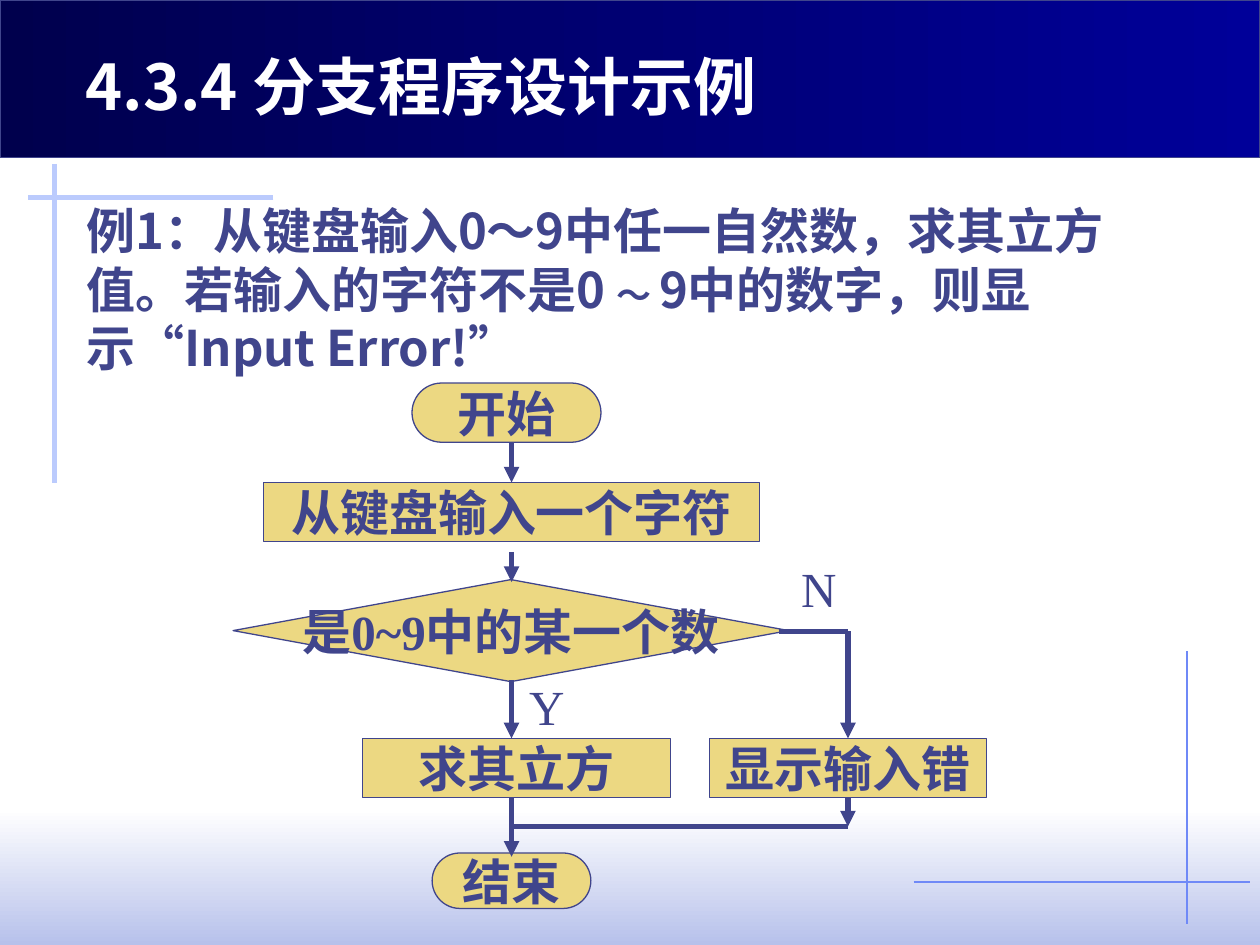
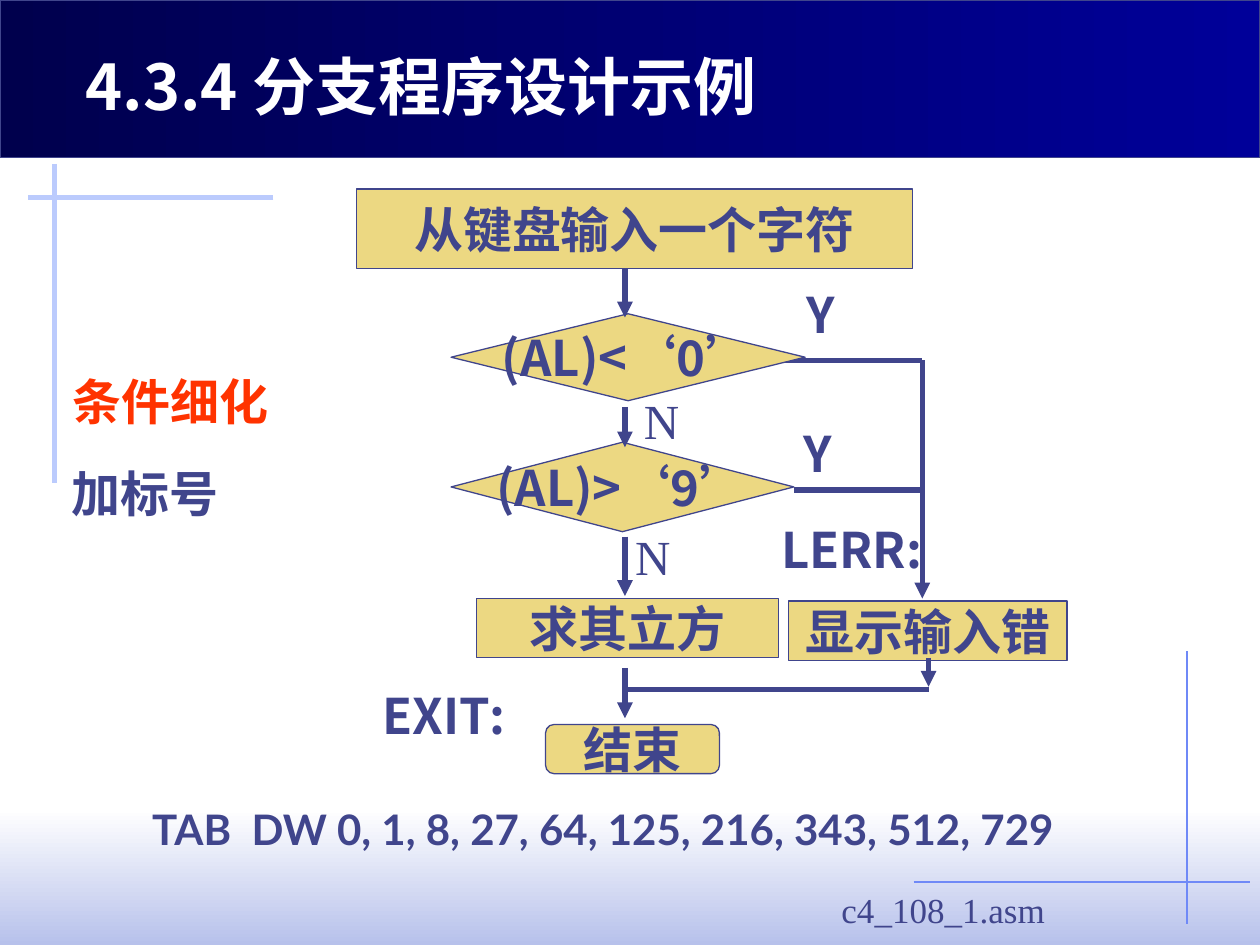
from dataclasses import dataclass

from lxml import etree
from pptx import Presentation
from pptx.dml.color import RGBColor
from pptx.enum.shapes import MSO_CONNECTOR, MSO_SHAPE
from pptx.enum.text import MSO_ANCHOR, MSO_AUTO_SIZE, PP_ALIGN
from pptx.oxml.ns import qn
from pptx.util import Inches, Pt

RECTANGLE = MSO_SHAPE.RECTANGLE
ROUNDED = MSO_SHAPE.ROUNDED_RECTANGLE
DIAMOND = MSO_SHAPE.DIAMOND
STRAIGHT = MSO_CONNECTOR.STRAIGHT
MIDDLE = MSO_ANCHOR.MIDDLE
GROW = MSO_AUTO_SIZE.SHAPE_TO_FIT_TEXT
CENTER = PP_ALIGN.CENTER
BLANK_LAYOUT = 6


@dataclass(frozen=True)
class Theme:
    ink: str = "40458C"
    white: str = "FFFFFF"
    alert: str = "FF3300"
    node: str = "ECD882"
    band_dark: str = "00004D"
    band_light: str = "000099"
    footer: str = "B7C1EB"
    pale_rule: str = "BBCBFD"
    bright_rule: str = "6F89F7"
    thin: float = 0.75
    thick: float = 3
    title_size: int = 36
    body_size: int = 28
    code_size: int = 24
    small_size: int = 20
    sans: str = "Noto Sans CJK SC"
    title_font: str = "Noto Sans CJK JP"
    serif: str = "Times New Roman"
    code_font: str = "Lato"


THEME = Theme()
TITLE = "4.3.4 分支程序设计示例"


def color(code):
    return RGBColor.from_string(code)


def add_span(para, text, font=THEME.sans, size=THEME.body_size, ink=THEME.ink, bold=True):
    span = para.add_run()
    span.text = text
    span.font.name = font
    span.font.size = Pt(size)
    span.font.bold = bold
    span.font.color.rgb = color(ink)
    east_asian = font if font == THEME.title_font else THEME.sans
    etree.SubElement(span.font._element, qn("a:ea")).set("typeface", east_asian)


def add_text(page, place, spans, wrap=False, insets=(0.1, 0.05)):
    """Add a text box; each span is a text with its font options."""
    box = page.shapes.add_textbox(*map(Inches, place))
    frame = box.text_frame
    frame.word_wrap = wrap
    frame.auto_size = GROW
    frame.margin_left = frame.margin_right = Inches(insets[0])
    frame.margin_top = frame.margin_bottom = Inches(insets[1])
    for text, options in spans:
        add_span(frame.paragraphs[0], text, **options)


def add_branch_label(page, place, text, insets=(0, 0)):
    add_text(page, place, [(text, {"font": THEME.serif, "bold": False})], True, insets)


def add_node(page, kind, place, text, font=THEME.sans, rounding=None):
    """Add one flowchart step with its centred text."""
    node = page.shapes.add_shape(kind, *map(Inches, place))
    node.shadow.inherit = False
    node.fill.solid()
    node.fill.fore_color.rgb = color(THEME.node)
    node.line.color.rgb = color(THEME.ink)
    node.line.width = Pt(THEME.thin)
    if rounding is not None:
        node.adjustments[0] = rounding
    frame = node.text_frame
    frame.word_wrap = False
    frame.vertical_anchor = MIDDLE
    frame.paragraphs[0].alignment = CENTER
    add_span(frame.paragraphs[0], text, font)


def add_line(page, start, end, ink=THEME.ink, width=THEME.thick, arrow=False):
    line = page.shapes.add_connector(STRAIGHT, *map(Inches, (*start, *end)))
    line.line.color.rgb = color(ink)
    line.line.width = Pt(width)
    if arrow:
        outline = line.line._get_or_add_ln()
        etree.SubElement(outline, qn("a:tailEnd")).set("type", "triangle")
    etree.SubElement(line._element.spPr, qn("a:effectLst"))


def add_down_arrows(page, x, spans):
    for top, bottom in spans:
        add_line(page, (x, top), (x, bottom), arrow=True)


def add_band(page, place, first, last, angle, outline=None):
    band = page.shapes.add_shape(RECTANGLE, *map(Inches, place))
    band.shadow.inherit = False
    band.fill.gradient()
    band.fill.gradient_angle = angle
    for stop, code in zip(band.fill.gradient_stops, (first, last)):
        stop.color.rgb = color(code)
    if outline:
        band.line.color.rgb = color(outline)
        band.line.width = Pt(THEME.thin)
    else:
        band.line.fill.background()


def add_page(deck):
    """Add a page with the shared bands, corner rules and title."""
    page = deck.slides.add_slide(deck.slide_layouts[BLANK_LAYOUT])
    add_band(page, (0, 6.42, 10, 1.08), THEME.white, THEME.footer, 270)
    add_line(page, (2.17, 1.57), (0.22, 1.57), THEME.pale_rule)
    add_line(page, (0.43, 1.3), (0.43, 3.83), THEME.pale_rule)
    add_band(page, (0, 0, 10, 1.25), THEME.band_dark, THEME.band_light, 0, THEME.ink)
    add_line(page, (9.42, 5.17), (9.42, 7.33), THEME.bright_rule, THEME.thin)
    add_line(page, (7.25, 7), (9.92, 7), THEME.bright_rule, THEME.thin)
    title_style = {"font": THEME.title_font, "size": THEME.title_size, "ink": THEME.white}
    add_text(page, (0.58, 0.33, 5.65, 0.7), [(TITLE, title_style)])
    return page


def build_overview(deck):
    page = add_page(deck)
    add_text(page, (0.59, 1.54, 8.58, 1.5), [
        ("例1：从键盘输入0～9中任一自然数，求其立方值。若输入的字符不是0 ", {}),
        ("～ ", {"font": THEME.code_font, "size": THEME.small_size}),
        ("9中的数字，则显示“Input Error!”", {}),
    ], wrap=True)

    for kind, place, text, rounding in (
        (ROUNDED, (3.27, 3.04, 1.5, 0.47), "开始", 0.5),
        (RECTANGLE, (2.09, 3.83, 3.94, 0.47), "从键盘输入一个字符", None),
        (DIAMOND, (1.85, 4.6, 4.41, 0.81), "是0~9中的某一个数", None),
        (RECTANGLE, (2.88, 5.86, 2.44, 0.47), "求其立方", None),
        (RECTANGLE, (5.63, 5.86, 2.2, 0.47), "显示输入错", None),
        (ROUNDED, (3.43, 6.77, 1.26, 0.44), "结束", 0.5),
    ):
        add_node(page, kind, place, text, THEME.serif, rounding)

    main_x, error_x, join_y = 4.06, 6.73, 6.56
    add_down_arrows(page, main_x, [(3.51, 3.83), (4.38, 4.62), (5.4, 5.86), (6.33, 6.8)])
    add_down_arrows(page, error_x, [(5.01, 5.86), (6.33, join_y)])
    add_line(page, (6.18, 5.01), (error_x, 5.01))
    add_line(page, (error_x, join_y), (main_x, join_y))
    add_branch_label(page, (4.2, 5.32, 0.48, 0.57), "Y", (0, 0.05))
    add_branch_label(page, (6.26, 4.38, 0.48, 0.57), "N", (0.1, 0.05))


def build_refinement(deck):
    page = add_page(deck)
    main_x, error_x, exit_x, join_y = 4.96, 7.32, 7.37, 5.47
    add_line(page, (6.22, 2.86), (error_x, 2.86))
    add_line(page, (6.3, 3.89), (error_x, 3.89))

    for kind, place, text, rounding in (
        (RECTANGLE, (2.83, 1.5, 4.41, 0.63), "从键盘输入一个字符", None),
        (DIAMOND, (3.58, 2.49, 2.81, 0.69), "(AL)<‘0’", None),
        (DIAMOND, (3.58, 3.51, 2.72, 0.71), "(AL)>‘9’", None),
        (RECTANGLE, (3.78, 4.75, 2.4, 0.47), "求其立方", None),
        (RECTANGLE, (6.26, 4.77, 2.21, 0.47), "显示输入错", None),
        (ROUNDED, (4.33, 5.75, 1.38, 0.39), "结束", 0.17),
    ):
        add_node(page, kind, place, text, rounding=rounding)

    add_down_arrows(page, main_x, [(2.13, 2.52), (3.23, 3.55), (4.26, 4.73), (5.3, 5.7)])
    add_down_arrows(page, error_x, [(2.86, 4.75)])
    add_down_arrows(page, exit_x, [(5.22, 5.45)])
    add_line(page, (exit_x, join_y), (main_x, join_y))

    add_branch_label(page, (5.11, 3.1, 0.39, 0.47), "N")
    add_branch_label(page, (5.04, 4.18, 0.39, 0.47), "N")
    add_text(page, (6.3, 2.21, 0.39, 0.57), [("Y", {})], wrap=True)
    add_text(page, (6.28, 3.31, 0.43, 0.57), [("Y", {})])
    add_text(page, (6.2, 4.12, 1.17, 0.47), [("LERR:", {})], insets=(0, 0))
    add_text(page, (2.94, 5.39, 1.37, 0.57), [("EXIT:", {})])

    add_text(page, (0.48, 2.9, 1.8, 0.57),
             [("条件细化", {"font": THEME.serif, "ink": THEME.alert})])
    add_text(page, (0.47, 3.63, 1.42, 0.57), [("加标号", {"font": THEME.serif})])
    add_text(page, (1.11, 6.33, 7.5, 0.5),
             [("TAB  DW 0, 1, 8, 27, 64, 125, 216, 343, 512, 729",
               {"font": THEME.code_font, "size": THEME.code_size})])
    add_text(page, (6.58, 7, 1.88, 0.44),
             [("c4_108_1.asm",
               {"font": THEME.serif, "size": THEME.small_size, "bold": False})])


def main():
    deck = Presentation()
    deck.slide_width = Inches(10)
    deck.slide_height = Inches(7.5)
    build_overview(deck)
    build_refinement(deck)
    deck.save("out.pptx")


if __name__ == "__main__":
    main()
